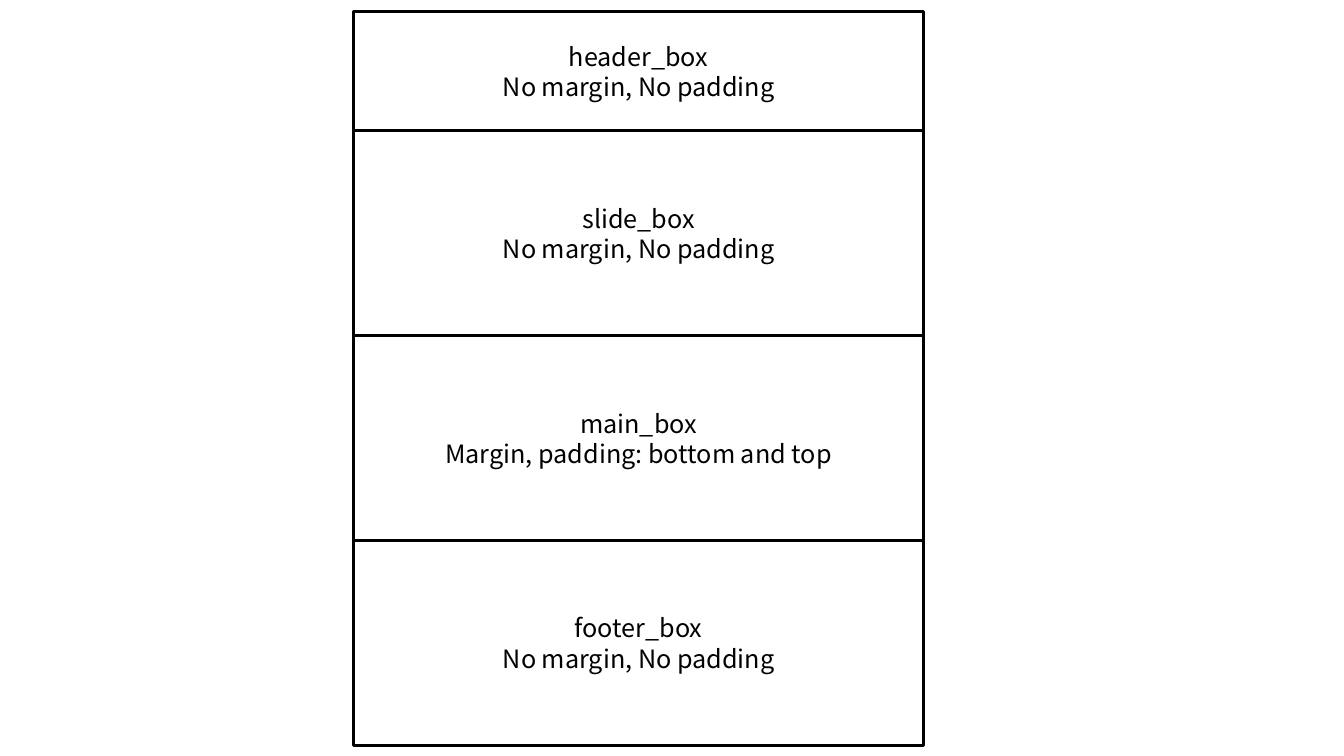
from pptx import Presentation
from pptx.dml.color import RGBColor
from pptx.enum.shapes import MSO_SHAPE as SHAPE
from pptx.enum.text import MSO_ANCHOR as ANCHOR, PP_ALIGN as ALIGN
from pptx.util import Cm, Pt

BLACK = RGBColor(0x00, 0x00, 0x00)
WHITE = RGBColor(0xFF, 0xFF, 0xFF)


class BoxSlide:
    """Draw stacked layout boxes in one style on the current slide."""

    font = {"name": "Noto Sans CJK KR", "size": Pt(18)}
    line_width = Pt(2.25)

    def __init__(self, slide):
        self.slide = slide
        self.group = slide.shapes.add_group_shape()

    def box(self, left, top, width, height, lines):
        sp = self.group.shapes.add_shape(
            SHAPE.RECTANGLE, Cm(left), Cm(top), Cm(width), Cm(height))
        sp.shadow.inherit = False
        sp.fill.solid()
        sp.fill.fore_color.rgb = WHITE
        sp.line.color.rgb = BLACK
        sp.line.width = self.line_width
        self.text(sp.text_frame, lines)

    def text(self, tf, lines):
        tf.word_wrap = True
        tf.vertical_anchor = ANCHOR.MIDDLE
        for i, line in enumerate(lines):
            p = tf.add_paragraph() if i else tf.paragraphs[0]
            p.alignment = ALIGN.CENTER
            r = p.add_run()
            r.text = line
            for key, value in self.font.items():
                setattr(r.font, key, value)
            r.font.color.rgb = BLACK


LEFT, TOP, WIDTH = 8.92, 0.3, 14.35
HEADER_HEIGHT, BODY_HEIGHT = 3, 5.16
NO_SPACE = "No margin, No padding"
BOXES = [
    ("header_box", NO_SPACE, HEADER_HEIGHT),
    ("slide_box", NO_SPACE, BODY_HEIGHT),
    ("main_box", "Margin, padding: bottom and top", BODY_HEIGHT),
    ("footer_box", NO_SPACE, BODY_HEIGHT),
]

prs = Presentation()
prs.slide_width, prs.slide_height = Cm(33.87), Cm(19.05)
s = BoxSlide(prs.slides.add_slide(prs.slide_layouts[6]))

top = TOP
for name, spacing, height in BOXES:
    s.box(LEFT, top, WIDTH, height, (name, spacing))
    top += height

prs.save("out.pptx")
